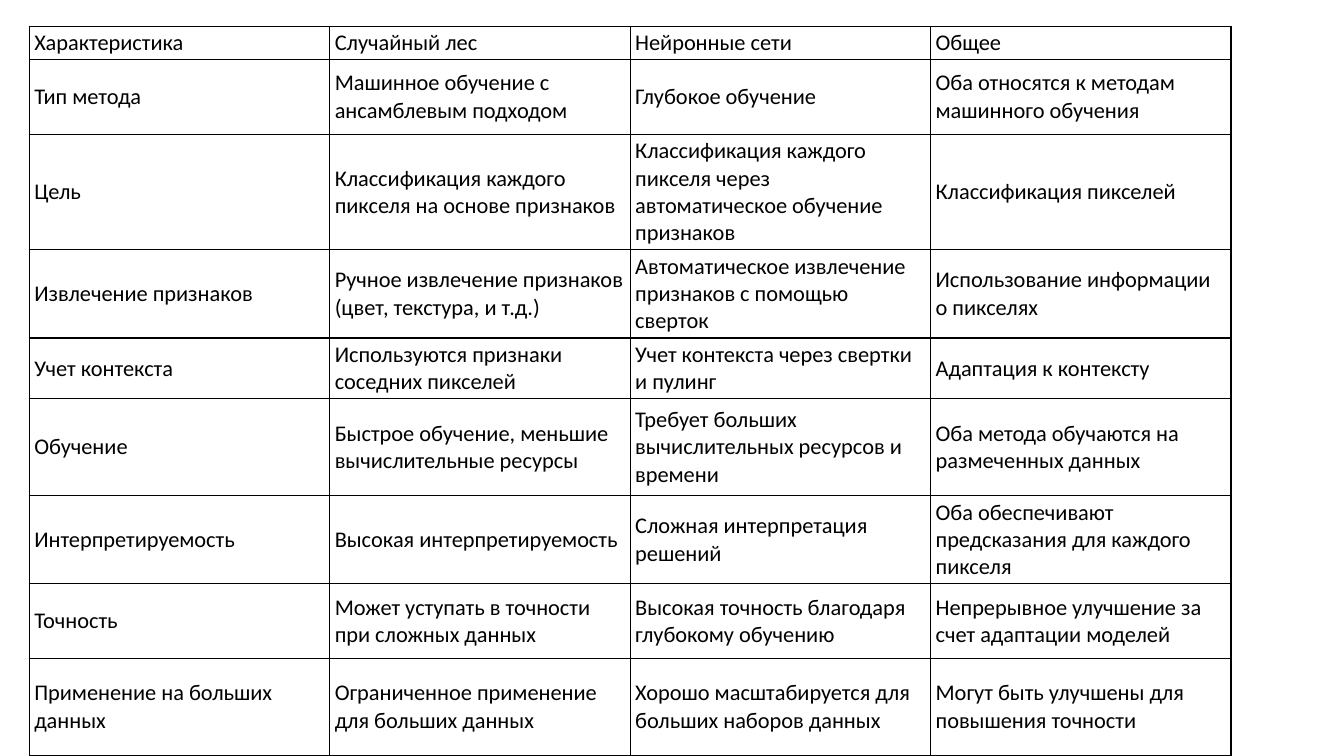
import pptx
import pptx.util
import pptx.dml.color
import pptx.enum.text
import pptx.oxml.ns
from lxml import etree

Inches = pptx.util.Inches
Pt = pptx.util.Pt

COLORS = {"text": "000000", "line": "000000"}
FONT = "Calibri"

WIDTH = 2.98
HEIGHTS = [0.29, 0.74, 0.96, 0.74, 0.52, 0.96, 0.74, 0.74, 0.96]
ROWS = [
    ["Характеристика", "Случайный лес", "Нейронные сети", "Общее"],
    ["Тип метода", "Машинное обучение с ансамблевым подходом",
     "Глубокое обучение", "Оба относятся к методам машинного обучения"],
    ["Цель", "Классификация каждого пикселя на основе признаков",
     "Классификация каждого пикселя через автоматическое обучение признаков",
     "Классификация пикселей"],
    ["Извлечение признаков",
     "Ручное извлечение признаков (цвет, текстура, и т.д.)",
     "Автоматическое извлечение признаков с помощью сверток",
     "Использование информации о пикселях"],
    ["Учет контекста", "Используются признаки соседних пикселей",
     "Учет контекста через свертки и пулинг", "Адаптация к контексту"],
    ["Обучение", "Быстрое обучение, меньшие вычислительные ресурсы",
     "Требует больших вычислительных ресурсов и времени",
     "Оба метода обучаются на размеченных данных"],
    ["Интерпретируемость", "Высокая интерпретируемость",
     "Сложная интерпретация решений",
     "Оба обеспечивают предсказания для каждого пикселя"],
    ["Точность", "Может уступать в точности при сложных данных",
     "Высокая точность благодаря глубокому обучению",
     "Непрерывное улучшение за счет адаптации моделей"],
    ["Применение на больших данных",
     "Ограниченное применение для больших данных",
     "Хорошо масштабируется для больших наборов данных",
     "Могут быть улучшены для повышения точности"],
]


def frame(cell):
    """Draw a thin line on all four sides of a cell."""
    props = cell._tc.get_or_add_tcPr()
    qn = pptx.oxml.ns.qn
    for side in ("lnL", "lnR", "lnT", "lnB"):
        line = etree.SubElement(props, qn("a:" + side), w=str(Pt(1)))
        fill = etree.SubElement(line, qn("a:solidFill"))
        etree.SubElement(fill, qn("a:srgbClr"), val=COLORS["line"])


def write(cell, text):
    """Set the text, margins, border and fill of one cell."""
    cell.vertical_anchor = pptx.enum.text.MSO_ANCHOR.MIDDLE
    cell.margin_left = cell.margin_right = Inches(0.05)
    cell.margin_top = cell.margin_bottom = Inches(0.03)
    frame(cell)
    cell.fill.background()
    run = cell.text_frame.paragraphs[0].add_run()
    run.text = text
    run.font.name = FONT
    run.font.size = Pt(16)
    run.font.color.rgb = pptx.dml.color.RGBColor.from_string(COLORS["text"])


def compare(slide, left, top):
    """Place the table of both methods at the given corner."""
    count = len(ROWS[0])
    table = slide.shapes.add_table(
        len(ROWS), count, Inches(left), Inches(top),
        Inches(WIDTH * count), Inches(sum(HEIGHTS))).table
    table.first_row = False
    table.horz_banding = False
    for column in table.columns:
        column.width = Inches(WIDTH)
    for row, height, texts in zip(table.rows, HEIGHTS, ROWS):
        row.height = Inches(height)
        for cell, text in zip(row.cells, texts):
            write(cell, text)


def main():
    deck = pptx.Presentation()
    deck.slide_width = Inches(13.33)
    deck.slide_height = Inches(7.5)
    # Blank layout with the comparison table
    slide = deck.slides.add_slide(deck.slide_layouts[6])
    compare(slide, 0.29, 0.26)
    deck.save("out.pptx")


if __name__ == "__main__":
    main()
